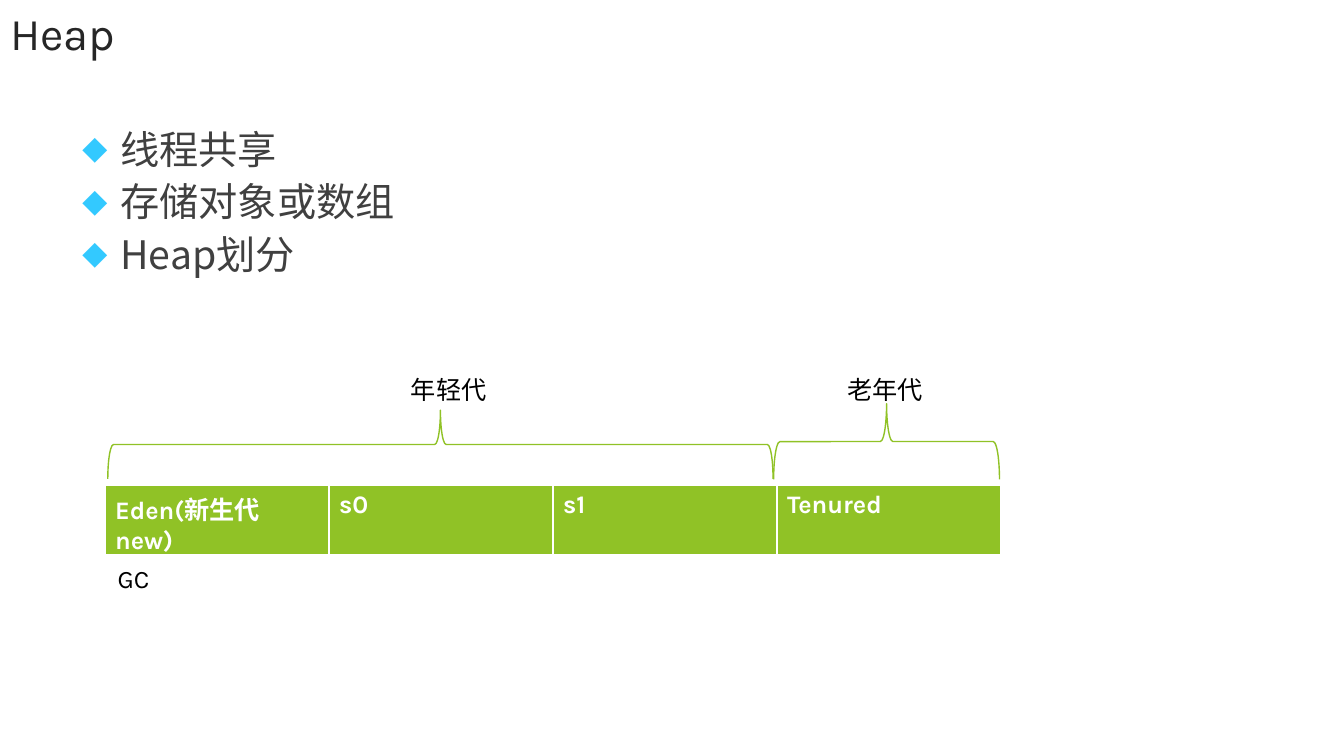
import pptx
import pptx.util
import pptx.dml.color
import pptx.enum.shapes
import pptx.enum.text
import pptx.oxml
import pptx.oxml.ns
from dataclasses import dataclass
from lxml import etree

Pt = pptx.util.Pt
RGB = pptx.dml.color.RGBColor.from_string
qn = pptx.oxml.ns.qn


@dataclass(frozen=True)
class Theme:
    latin: str = "Karla"
    asian: str = "Noto Sans CJK JP"
    title: str = "262626"
    body: str = "404040"
    label: str = "000000"
    white: str = "FFFFFF"
    green: str = "90C226"
    bullet: str = "33C9FF"
    title_size: float = 32.4
    body_size: float = 28
    label_size: float = 18


THEME = Theme()


def style(para, size, color, face=THEME.latin, bold=False):
    for run in para.runs:
        font = run.font
        font.name, font.size, font.bold = face, Pt(size), bold
        font.color.rgb = RGB(color)
        asian = etree.SubElement(font._element, qn("a:ea"))
        asian.set("typeface", THEME.asian)


def add_title(slide, text):
    title = slide.shapes.title
    title.left, title.top, title.width, title.height = Pt(0), Pt(0), Pt(677), Pt(46)
    frame = title.text_frame
    frame.text = text
    frame.vertical_anchor = pptx.enum.text.MSO_ANCHOR.MIDDLE
    para = frame.paragraphs[0]
    para.alignment = pptx.enum.text.PP_ALIGN.LEFT
    style(para, THEME.title_size, THEME.title)


def add_bullet(para):
    props = para._p.get_or_add_pPr()
    props.set("marL", str(Pt(27)))
    props.set("indent", str(-Pt(27)))
    color = etree.SubElement(props, qn("a:buClr"))
    etree.SubElement(color, qn("a:srgbClr")).set("val", THEME.bullet)
    for tag, key, value in (
        ("a:buSzPct", "val", "65000"),
        ("a:buFont", "typeface", THEME.asian),
        ("a:buChar", "char", "◆"),
    ):
        etree.SubElement(props, qn(tag)).set(key, value)


def add_list(slide, items, left, top, width, height):
    box = slide.shapes.add_textbox(Pt(left), Pt(top), Pt(width), Pt(height))
    frame = box.text_frame
    frame.word_wrap = True
    frame.text = "\n".join(items)
    for para in frame.paragraphs:
        para.line_spacing = 0.9
        para.space_after = Pt(7)
        add_bullet(para)
        style(para, THEME.body_size, THEME.body, THEME.asian)


def add_label(slide, text, left, top, width, wrap=True):
    box = slide.shapes.add_textbox(Pt(left), Pt(top), Pt(width), Pt(29))
    frame = box.text_frame
    frame.word_wrap = wrap
    frame.text = text
    style(frame.paragraphs[0], THEME.label_size, THEME.label)


def add_brace(slide, left, top, width, height):
    # The brace is drawn upright, then turned about its centre
    kind = pptx.enum.shapes.MSO_SHAPE.LEFT_BRACE
    shift = (width - height) / 2
    brace = slide.shapes.add_shape(
        kind, Pt(left + shift), Pt(top - shift), Pt(height), Pt(width))
    brace.rotation = 90
    brace.shadow.inherit = False
    brace.fill.background()
    brace.line.color.rgb = RGB(THEME.green)
    brace.line.width = Pt(1)


def add_border(cell):
    props = cell._tc.get_or_add_tcPr()
    edges = (("a:lnL", 1), ("a:lnR", 1), ("a:lnT", 1), ("a:lnB", 3))
    for spot, (tag, width) in enumerate(edges):
        line = etree.Element(qn(tag), w=str(Pt(width)))
        fill = etree.SubElement(line, qn("a:solidFill"))
        etree.SubElement(fill, qn("a:srgbClr")).set("val", THEME.white)
        props.insert(spot, line)


def add_areas(slide, names, left, top, width, height):
    table = slide.shapes.add_table(
        1, len(names), Pt(left), Pt(top), Pt(width), Pt(height)).table
    for cell, name in zip(table.rows[0].cells, names):
        cell.text = name
        cell.fill.solid()
        cell.fill.fore_color.rgb = RGB(THEME.green)
        add_border(cell)
        style(cell.text_frame.paragraphs[0], THEME.label_size, THEME.white, bold=True)


def main():
    deck = pptx.Presentation()
    deck.slide_width, deck.slide_height = Pt(960), Pt(540)
    slide = deck.slides.add_slide(deck.slide_layouts[5])

    # Title and key points
    add_title(slide, "Heap")
    add_list(slide, ["线程共享", "存储对象或数组", "Heap划分"], 52, 90, 767, 423)

    # Memory areas
    add_areas(slide, ["Eden(新生代 new)", "s0", "s1", "Tenured"], 75, 346.5, 640, 29.5)

    # Generations above the areas
    add_brace(slide, 77, 293, 475.2, 49)
    add_label(slide, "年轻代", 286.5, 264, 69, wrap=False)
    add_brace(slide, 552.6, 288.4, 161.3, 54)
    add_label(slide, "老年代", 598, 264, 89)

    # Collector note
    add_label(slide, "GC", 77, 399, 112)

    deck.save("out.pptx")


if __name__ == "__main__":
    main()
